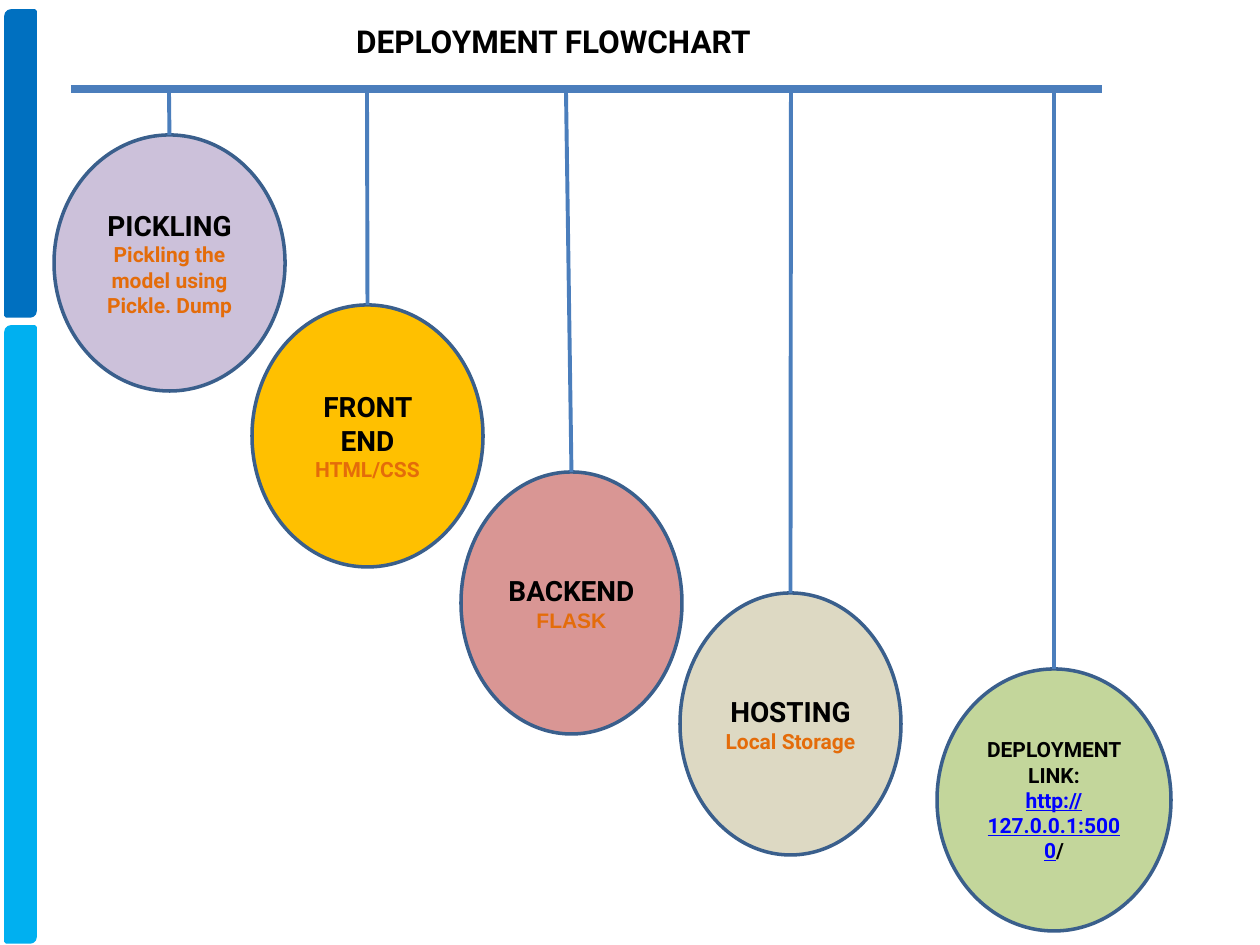
from pptx import Presentation, util as u
from pptx.dml.color import RGBColor
from pptx.enum import shapes, text
from pptx.oxml.ns import qn
from lxml import etree

SCALE = 914400 / 126
INK = {
    "black": "000000", "note": "E46C0A", "link": "0000FF",
    "rim": "3A5F8C", "rail": "4B7EBC", "navy": "0070C0", "sky": "00B0F0",
    "lilac": "CCC1DA", "gold": "FFC000", "rose": "D99694",
    "sand": "DDD9C3", "green": "C3D69B",
}
RAIL = 89
HEAD = ("black", 16, "Roboto", False)
NOTE = ("note", 12, "Roboto", False)
BODY = ("black", 12, "Roboto", False)
LINK = ("link", 12, "Roboto", True)
STEPS = [
    ((54, 135, 231, 256), "lilac", 169,
     [[("PICKLING", HEAD)], [("Pickling the model using Pickle. Dump", NOTE)]]),
    ((252, 305, 231, 262), "gold", 367,
     [[("FRONT END", HEAD)], [("HTML/CSS", NOTE)]]),
    ((461, 472, 221, 262), "rose", 566,
     [[("BACKEND", HEAD)], [("FLASK", ("note", 12, "Arial", False))]]),
    ((680, 593, 221, 262), "sand", 791,
     [[("HOSTING", HEAD)], [("Local Storage", NOTE)]]),
    ((937, 669, 234, 262), "green", 1054,
     [[("DEPLOYMENT LINK:", BODY)],
      [("http://127.0.0.1:5000", LINK), ("/", BODY)]]),
]


def px(*vals):
    """Turn pixels into EMU."""
    return [u.Emu(round(v * SCALE)) for v in vals]


def rgb(name):
    """Look up a colour by name."""
    return RGBColor.from_string(INK[name])


def write(frame, paras):
    """Fill a text frame with centred paragraphs of styled runs."""
    frame.word_wrap = True
    frame.vertical_anchor = text.MSO_ANCHOR.MIDDLE
    for i, runs in enumerate(paras):
        para = frame.paragraphs[0] if i == 0 else frame.add_paragraph()
        para.alignment = text.PP_ALIGN.CENTER
        for words, (ink, size, face, under) in runs:
            run = para.add_run()
            run.text = words
            font = run.font
            font.name, font.size, font.bold = face, u.Pt(size), True
            font.underline = under
            font.color.rgb = rgb(ink)


def block(slide, kind, box, fill, rim):
    """Add a filled and outlined preset shape."""
    item = slide.shapes.add_shape(kind, *px(*box))
    item.shadow.inherit = False
    item.fill.solid()
    item.fill.fore_color.rgb = rgb(fill)
    item.line.color.rgb = rgb(rim)
    item.line.width = u.Pt(2)
    return item


def rule(slide, ends, width):
    """Add a straight line between two points."""
    line = slide.shapes.add_connector(shapes.MSO_CONNECTOR.STRAIGHT, *px(*ends))
    line.line.color.rgb = rgb("rail")
    line.line.width = u.Pt(width)
    etree.SubElement(line._element.spPr, qn("a:effectLst"))


def main():
    """Build the deployment flowchart slide."""
    deck = Presentation()
    deck.slide_width, deck.slide_height = px(1260, 945)
    slide = deck.slides.add_slide(deck.slide_layouts[6])

    for top, high, ink in ((11, 305, "navy"), (327, 615, "sky")):
        block(slide, shapes.MSO_SHAPE.ROUND_2_DIAG_RECTANGLE,
              (6, top, 29, high), ink, ink)
    for box, fill, _, paras in STEPS:
        ball = block(slide, shapes.MSO_SHAPE.OVAL, box, fill, "rim")
        write(ball.text_frame, paras)

    rule(slide, (71, RAIL, 1102, RAIL), 4.5)
    for (left, top, wide, _), _, start, _ in STEPS:
        rule(slide, (start, RAIL, left + wide / 2, top), 2.25)

    title = slide.shapes.add_textbox(*px(296, 17, 515, 48))
    write(title.text_frame,
          [[("DEPLOYMENT FLOWCHART", ("black", 18, "Roboto", False))]])
    deck.save("out.pptx")


if __name__ == "__main__":
    main()
